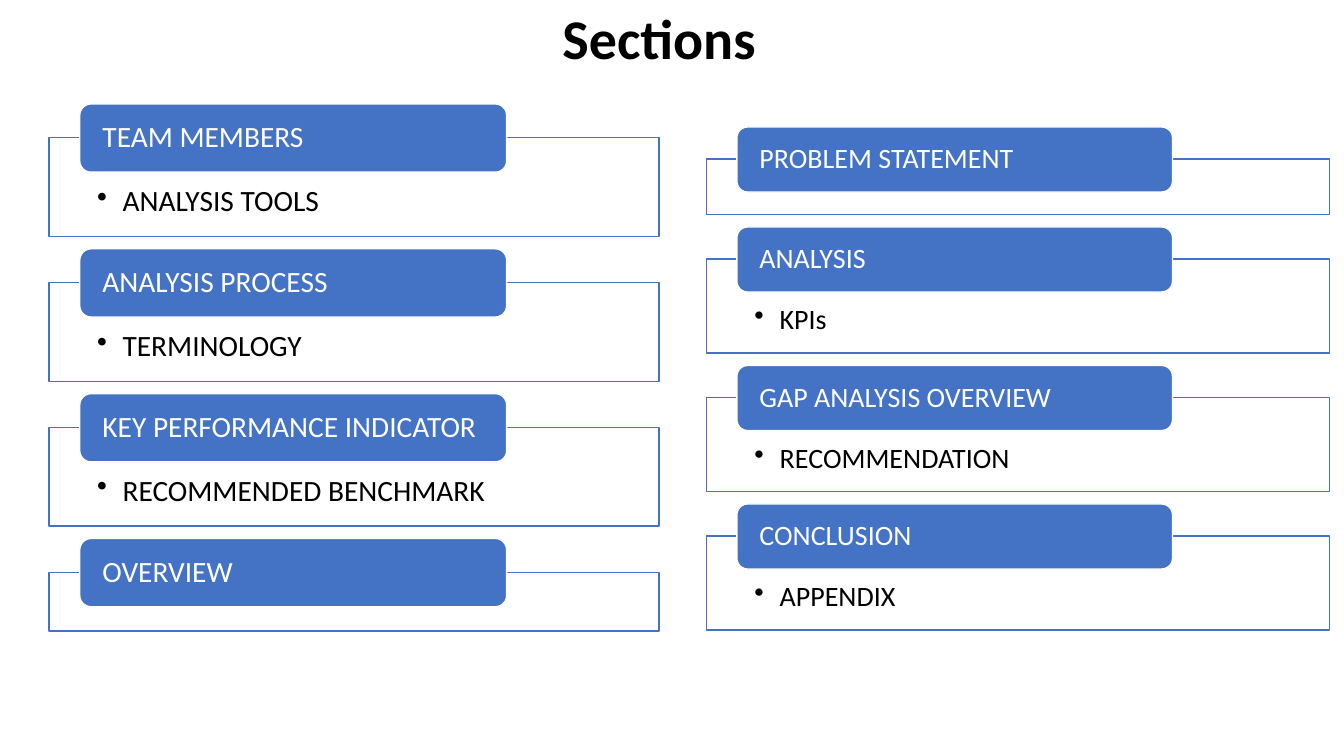
import pptx
import pptx.util
import pptx.dml.color
import pptx.enum.shapes
import pptx.enum.text
import pptx.oxml.ns
from dataclasses import dataclass
from lxml import etree
from pptx.util import Cm

BLUE = pptx.dml.color.RGBColor(0x44, 0x72, 0xC4)
WHITE = pptx.dml.color.RGBColor(0xFF, 0xFF, 0xFF)
BLACK = pptx.dml.color.RGBColor(0x00, 0x00, 0x00)
SHAPES = pptx.enum.shapes.MSO_SHAPE
ANCHOR = pptx.enum.text.MSO_ANCHOR
ALIGN = pptx.enum.text.PP_ALIGN


@dataclass
class Column:
    left: float
    top: float
    width: float
    tab_width: float
    tab_height: float
    box_offset: float
    box_height: float
    empty_height: float
    text_inset: float
    font_size: int
    sections: list


COLUMNS = [
    Column(17.8, 3.2, 15.7, 10.98, 1.64, 0.81, 2.37, 1.4, 1.17, 20, [
        ("PROBLEM STATEMENT", ""),
        ("ANALYSIS", "KPIs"),
        ("GAP ANALYSIS OVERVIEW", "RECOMMENDATION"),
        ("CONCLUSION", "APPENDIX"),
    ]),
    Column(1.24, 2.62, 15.37, 10.76, 1.72, 0.85, 2.49, 1.48, 1.22, 21, [
        ("TEAM MEMBERS", "ANALYSIS TOOLS"),
        ("ANALYSIS PROCESS", "TERMINOLOGY"),
        ("KEY PERFORMANCE INDICATOR", "RECOMMENDED BENCHMARK"),
        ("OVERVIEW", ""),
    ]),
]


class SectionsSlide:
    font_name = "Calibri"
    tab_indent = 0.77
    section_gap = 0.31

    def __init__(self, presentation):
        self.slide = presentation.slides.add_slide(presentation.slide_layouts[6])

    def set_text(self, shape, text, size, color, anchor, insets, align=ALIGN.LEFT, bold=False):
        frame = shape.text_frame
        frame.word_wrap = True
        frame.vertical_anchor = anchor
        frame.margin_left, frame.margin_top, frame.margin_right, frame.margin_bottom = map(Cm, insets)
        paragraph = frame.paragraphs[0]
        paragraph.text = text
        paragraph.alignment = align
        paragraph.line_spacing = 0.9
        paragraph.font.name = self.font_name
        paragraph.font.size = pptx.util.Pt(size)
        paragraph.font.bold = bold
        paragraph.font.color.rgb = color
        return paragraph

    def add_title(self, text):
        shape = self.slide.shapes.add_textbox(Cm(6.6), Cm(0.25), Cm(20.02), Cm(1.68))
        self.set_text(shape, text, 40, BLACK, ANCHOR.BOTTOM, (0.25, 0.13, 0.25, 0.13), ALIGN.CENTER, True)

    def add_panel(self, kind, left, top, width, height, fill, line):
        shape = self.slide.shapes.add_shape(kind, Cm(left), Cm(top), Cm(width), Cm(height))
        shape.shadow.inherit = False
        shape.fill.solid()
        shape.fill.fore_color.rgb = fill
        shape.line.color.rgb = line
        shape.line.width = pptx.util.Pt(1)
        return shape

    def add_box(self, column, top, height, text):
        box = self.add_panel(SHAPES.RECTANGLE, column.left, top, column.width, height, WHITE, BLUE)
        color = box._element.spPr.find(pptx.oxml.ns.qn("a:solidFill"))[0]
        etree.SubElement(color, pptx.oxml.ns.qn("a:alpha"), val="90000")
        if text:
            insets = (1.21, column.text_inset, 1.21, 0.41)
            paragraph = self.set_text(box, text, column.font_size, BLACK, ANCHOR.TOP, insets)
            self.add_bullet(paragraph)

    def add_bullet(self, paragraph):
        properties = paragraph._p.get_or_add_pPr()
        properties.set("marL", str(Cm(0.64)))
        properties.set("indent", str(Cm(-0.64)))
        bullet = etree.Element(pptx.oxml.ns.qn("a:buChar"), char="•")
        properties.find(pptx.oxml.ns.qn("a:defRPr")).addprevious(bullet)

    def add_tab(self, column, top, text):
        tab = self.add_panel(SHAPES.ROUNDED_RECTANGLE, column.left + self.tab_indent, top,
                             column.tab_width, column.tab_height, BLUE, WHITE)
        self.set_text(tab, text, column.font_size, WHITE, ANCHOR.MIDDLE, (0.49, 0, 0.49, 0))

    def add_column(self, column):
        top = column.top
        for heading, item in column.sections:
            height = column.box_height if item else column.empty_height
            self.add_box(column, top + column.box_offset, height, item)
            self.add_tab(column, top, heading)
            top += column.box_offset + height + self.section_gap


def main():
    presentation = pptx.Presentation()
    presentation.slide_width = Cm(33.87)
    presentation.slide_height = Cm(19.05)
    sections_slide = SectionsSlide(presentation)
    sections_slide.add_title("Sections")
    for column in COLUMNS:
        sections_slide.add_column(column)
    presentation.save("out.pptx")


if __name__ == "__main__":
    main()
